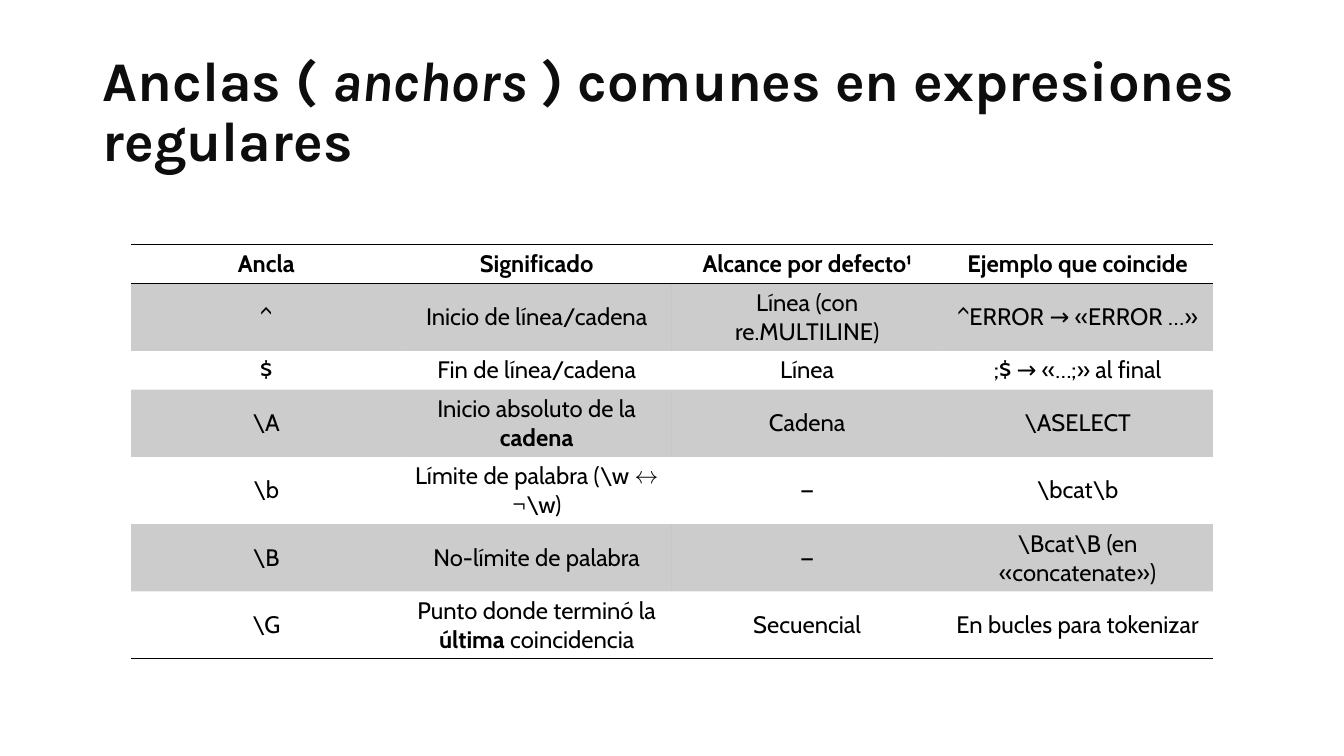
from lxml.etree import SubElement, fromstring
from pptx import Presentation
from pptx.dml.color import RGBColor
from pptx.enum.text import MSO_ANCHOR, PP_ALIGN
from pptx.oxml.ns import nsdecls, qn
from pptx.util import Inches, Pt

COLORS = {"title": "0D0D0D", "ink": "000000"}
NO_STYLE = "{2D5ABB26-0587-4C30-8999-92F81FD0307C}"
ROWS = [
    ["Ancla", "Significado", "Alcance por defecto¹", "Ejemplo que coincide"],
    ["^", "Inicio de línea/cadena", "Línea (con re.MULTILINE)", "^ERROR → «ERROR …»"],
    ["$", "Fin de línea/cadena", "Línea", ";$ → «…;» al final"],
    ["\\A", "Inicio absoluto de la **cadena", "Cadena", "\\ASELECT"],
    ["\\b", "Límite de palabra (\\w ↔ ¬\\w)", "—", "\\bcat\\b"],
    ["\\B", "No-límite de palabra", "—", "\\Bcat\\B (en «concatenate»)"],
    ["\\G", "Punto donde terminó la **última** coincidencia", "Secuencial",
     "En bucles para tokenizar"],
]
HEIGHTS = [0.37] * 3 + [0.65] * 4
LAST = len(ROWS) - 1


def add_run(p, text, font, size, color, bold, italic=False):
    r = p.add_run()
    r.text = text
    r.font.name = font
    r.font.size = Pt(size)
    r.font.bold = bold
    r.font.italic = italic
    r.font.color.rgb = RGBColor.from_string(COLORS[color])


def add_border(cell, side):
    cell._tc.get_or_add_tcPr().insert(0, fromstring(
        f'<a:{side} {nsdecls("a")} w="{Pt(0.75)}"><a:solidFill>'
        f'<a:srgbClr val="{COLORS["ink"]}"/></a:solidFill></a:{side}>'))


prs = Presentation()
prs.slide_width = Inches(13.33)
prs.slide_height = Inches(7.5)
s = prs.slides.add_slide(prs.slide_layouts[6])

title = s.shapes.add_textbox(Inches(0.92), Inches(0.4), Inches(11.5), Inches(1.45))
tf = title.text_frame
tf.word_wrap = True
tf.vertical_anchor = MSO_ANCHOR.MIDDLE
p = tf.paragraphs[0]
p.line_spacing = 0.9
for text, italic in [("Anclas ( ", False), ("anchors", True),
                     (" ) comunes en expresiones regulares", False)]:
    add_run(p, text, "Karla", 40, "title", True, italic)

frame = s.shapes.add_table(len(ROWS), 4, Inches(1.3), Inches(2.43),
                           Inches(10.73), Inches(sum(HEIGHTS)))
table = frame.table
table.first_row = False
table.horz_banding = False
table._tbl.tblPr.find(qn("a:tableStyleId")).text = NO_STYLE

for i, (row, height) in enumerate(zip(ROWS, HEIGHTS)):
    table.rows[i].height = Inches(height)
    for j, text in enumerate(row):
        cell = table.cell(i, j)
        cell.vertical_anchor = MSO_ANCHOR.MIDDLE
        cell.margin_left = cell.margin_right = Inches(0.1)
        cell.margin_top = cell.margin_bottom = Inches(0.05)
        p = cell.text_frame.paragraphs[0]
        p.alignment = PP_ALIGN.CENTER
        for k, part in enumerate(text.split("**")):
            add_run(p, part, "Cabin", 17, "ink", i == 0 or k % 2 == 1)
        if i % 2:
            cell.fill.solid()
            cell.fill.fore_color.rgb = RGBColor.from_string(COLORS["ink"])
            color = cell._tc.tcPr.find(".//" + qn("a:srgbClr"))
            SubElement(color, qn("a:alpha"), val="20000")
        else:
            cell.fill.background()
        if i in (0, LAST):
            add_border(cell, "lnB")
        if i == 0:
            add_border(cell, "lnT")

prs.save("out.pptx")
